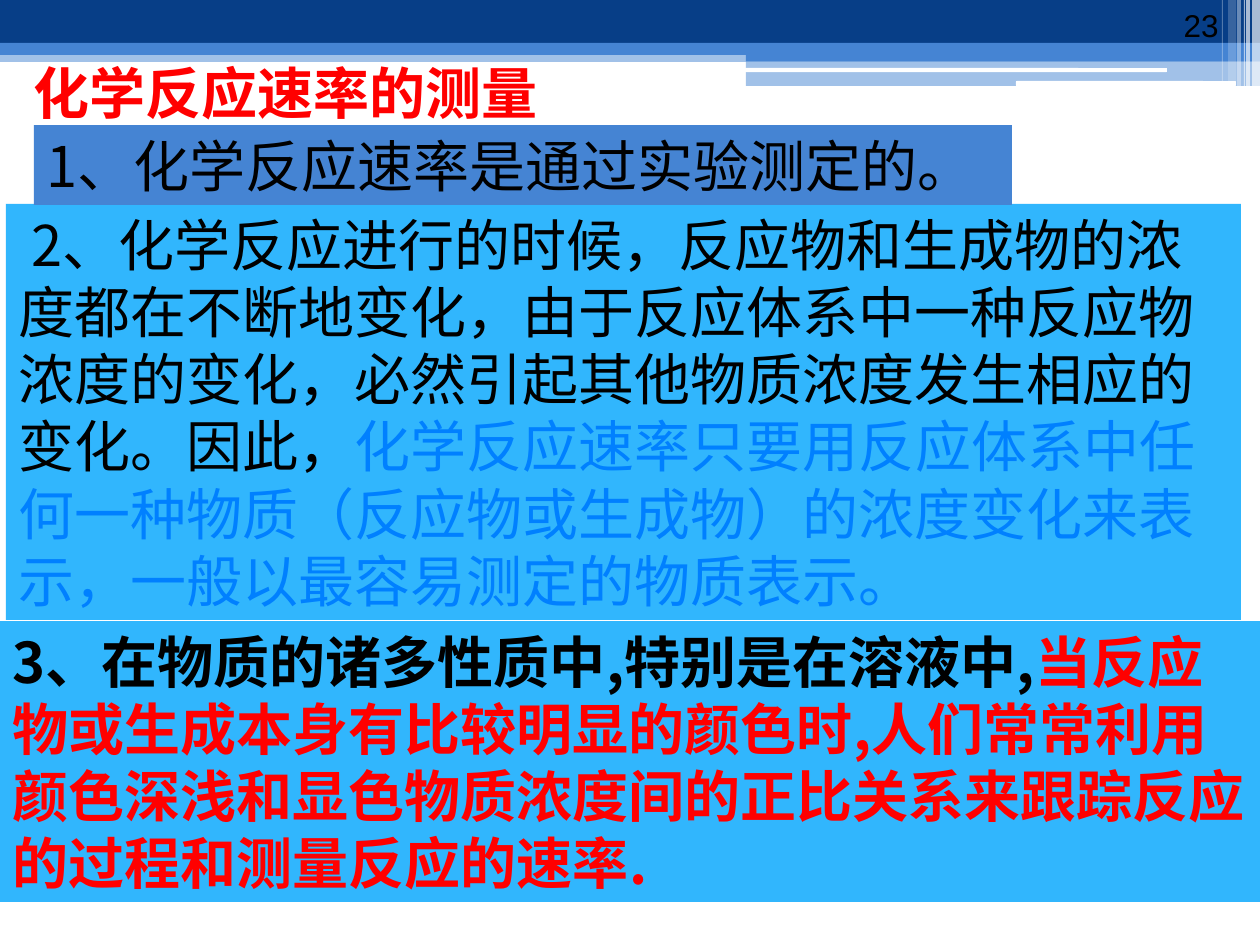
from lxml import etree
from pptx import Presentation
from pptx.dml.color import RGBColor
from pptx.enum.shapes import MSO_SHAPE
from pptx.enum.text import MSO_ANCHOR, PP_ALIGN
from pptx.oxml.ns import qn
from pptx.util import Pt

PX = 914400 / 126
RECT, ROUND = MSO_SHAPE.RECTANGLE, MSO_SHAPE.ROUNDED_RECTANGLE
TOP, BOTTOM = MSO_ANCHOR.TOP, MSO_ANCHOR.BOTTOM
LEFT, RIGHT = PP_ALIGN.LEFT, PP_ALIGN.RIGHT
HAN = "Noto Sans CJK SC"
HUES = {"navy": "073E87", "blue": "4584D3", "sky": "31B6FD", "white": "FFFFFF",
        "black": "000000", "red": "FF0000", "azure": "0080FF"}

# left, top, width, height, colour, opacity in percent
BANDS = [
    (0, 50, 1260, 12, "blue", 50),
    (0, 0, 1260, 43, "navy", 100),
    (0, 43, 1260, 12, "blue", 100),
    (746, 49, 514, 12, "blue", 100),
    (746, 61, 514, 25, "blue", 50),
]
GAPS = [(745, 68, 422, 4), (1016, 81, 220, 5)]
# left, width, height, opacity in percent
STRIPES = [(1252, 8, 86, 65), (1246, 4, 86, 65), (1244, 1, 86, 60),
           (1237, 4, 86, 40), (1228, 8, 81, 20), (1222, 1, 81, 30)]

TITLE = [("化学反应速率的测量", "red")]
FIRST = [("1、化学反应速率是通过实验测定的。", "black")]
SECOND = [
    ("2、化学反应进行的时候，反应物和生成物的浓度都在不断地变化，由于反应体系中一种"
     "反应物浓度的变化，必然引起其他物质浓度发生相应的变化。因此，", "black"),
    ("化学反应速率只要用反应体系中任何一种物质（反应物或生成物）的浓度变化来表示，"
     "一般以最容易测定的物质表示。", "azure"),
]
THIRD = [
    ("3、在物质的诸多性质中,特别是在溶液中,", "black"),
    ("当反应物或生成本身有比较明显的颜色时,人们常常利用颜色深浅和显色物质浓度间的"
     "正比关系来跟踪反应的过程和测量反应的速率.", "red"),
]


def scale(*sizes):
    return [round(size * PX) for size in sizes]


def add_block(slide, box, hue, alpha=100, kind=RECT):
    shape = slide.shapes.add_shape(kind, *scale(*box))
    shape.shadow.inherit = False
    shape.line.fill.background()
    shape.fill.solid()
    shape.fill.fore_color.rgb = RGBColor.from_string(HUES[hue])
    if alpha < 100:
        tint = shape.fill._xPr.find(".//" + qn("a:srgbClr"))
        etree.SubElement(tint, qn("a:alpha"), val=str(alpha * 1000))
    return shape


def add_label(slide, box):
    return slide.shapes.add_textbox(*scale(*box))


def set_text(shape, parts, size=32, font=HAN, bold=False, wrap=True,
             align=LEFT, anchor=TOP, indent=0):
    """Fill one paragraph with (text, colour) parts."""
    frame = shape.text_frame
    frame.word_wrap = wrap
    frame.vertical_anchor = anchor
    para = frame.paragraphs[0]
    para.alignment = align
    if indent:
        para._p.get_or_add_pPr().set("indent", str(scale(indent)[0]))
    for text, hue in parts:
        run = para.add_run()
        run.text = text
        run.font.size = Pt(size)
        run.font.bold = bold
        run.font.name = font
        run.font.color.rgb = RGBColor.from_string(HUES[hue])
        etree.SubElement(run._r.get_or_add_rPr(), qn("a:ea"), typeface=font)


def add_header(slide):
    for *box, hue, alpha in BANDS:
        add_block(slide, box, hue, alpha)
    for box in GAPS:
        add_block(slide, box, "white", kind=ROUND)
    for left, width, height, alpha in STRIPES:
        add_block(slide, (left, 0, width, height), "white", alpha)


def main():
    deck = Presentation()
    deck.slide_width, deck.slide_height = scale(1260, 945)
    slide = deck.slides.add_slide(deck.slide_layouts[6])
    add_header(slide)
    set_text(add_label(slide, (1126, 0, 105, 50)), [("23", "black")],
             size=18, font="Arial", align=RIGHT, anchor=BOTTOM)
    set_text(add_label(slide, (21, 52, 1239, 80)), TITLE, bold=True)
    set_text(add_block(slide, (6, 204, 1235, 416), "sky"), SECOND, indent=13)
    set_text(add_block(slide, (0, 621, 1260, 281), "sky"), THIRD, bold=True)
    set_text(add_block(slide, (34, 125, 978, 80), "blue"), FIRST, wrap=False)
    deck.save("out.pptx")


if __name__ == "__main__":
    main()
